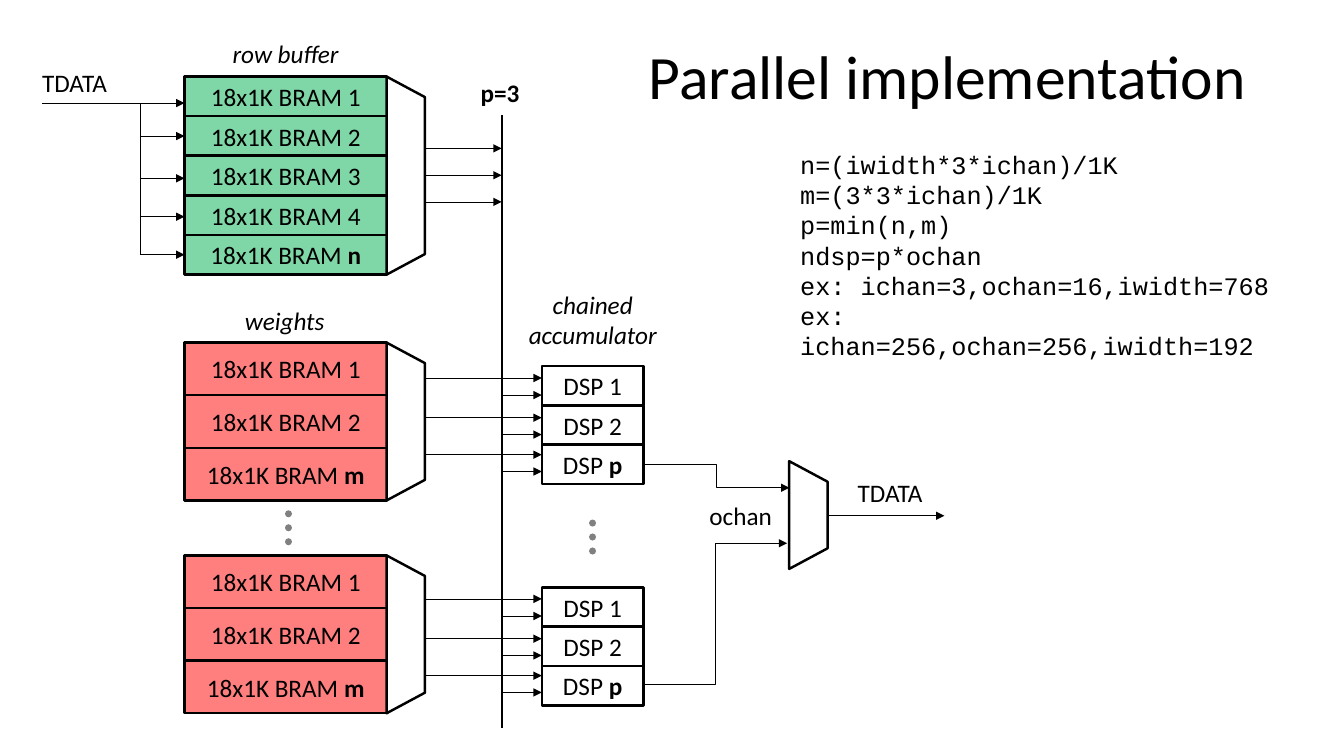
import pptx
import pptx.util
import pptx.dml.color
import pptx.enum.dml
import pptx.enum.shapes
import pptx.enum.text
import pptx.oxml
import pptx.oxml.ns

COLORS = {"ink": "000000", "buffer": "00B050", "weights": "FF0000", "dots": "808080"}
BODY, CODE = "Calibri", "Courier New"

BRAM, DSP = "18x1K BRAM ", "DSP "
BRAM_LEFT, BRAM_WIDTH = 131.8, 144.6
DSP_LEFT, DSP_WIDTH = 387, 72.6
MUX_CENTER, MUX_DEPTH = 289.8, 27.4
MUX_EXIT, BUS = 303.6, 358.3
TRUNK = 100

# name, suffixes, left, top, width, row height, fill, has mux
STACKS = [
    (BRAM, "1234n", BRAM_LEFT, 54.7, BRAM_WIDTH, 28.3, "buffer", True),
    (BRAM, "12m", BRAM_LEFT, 244.7, BRAM_WIDTH, 37.6, "weights", True),
    (BRAM, "12m", BRAM_LEFT, 396.7, BRAM_WIDTH, 37.6, "weights", True),
    (DSP, "12p", DSP_LEFT, 261.4, DSP_WIDTH, 28.1, None, False),
    (DSP, "12p", DSP_LEFT, 419.5, DSP_WIDTH, 28.1, None, False),
]
OUTPUT_MUX = (577.4, 367.9, 77)

BUFFER_TAPS = [97.2, 127.4, 154.8, 181.9]
BUFFER_OUTPUTS = [106, 125.2, 144.2]
WEIGHT_INPUTS = [270, 298.4, 324.8]
BUS_INPUTS = [282.2, 310.4, 336.8]
DSP_GROUP_OFFSETS = [0, 157.8]

LABELS = [
    (["row buffer"], 159.1, 23.8, 91.4, 28.8, {"italic": True}),
    (["weights"], 167.8, 214.6, 72, 28.8, {"italic": True}),
    (["chained", "accumulator"], 370.1, 203, 106.6, 51.1, {"italic": True, "centered": True}),
    (["TDATA"], 23, 44.6, 61.2, 28.8, {}),
    (["TDATA"], 605.5, 337.7, 61.2, 28.8, {}),
    (["p=3"], 336.2, 51.8, 42.5, 28.8, {"bold": True}),
    (["ochan"], 499.7, 353.5, 64.1, 28.8, {"wrap": True}),
    (["n=(iwidth*3*ichan)/1K", "m=(3*3*ichan)/1K", "p=min(n,m)", "ndsp=p*ochan",
      "ex: ichan=3,ochan=16,iwidth=768", "ex: ichan=256,ochan=256,iwidth=192"],
     564.5, 103, 353.5, 159.8, {"font": CODE, "wrap": True}),
    (["Parallel implementation"], 456.5, 29.5, 463, 104.4,
     {"size": 44, "wrap": True, "spacing": 0.9}),
]

Pt = pptx.util.Pt
STRAIGHT = pptx.enum.shapes.MSO_CONNECTOR.STRAIGHT
ELBOW = pptx.enum.shapes.MSO_CONNECTOR.ELBOW
SHAPES = pptx.enum.shapes.MSO_SHAPE
CENTER = pptx.enum.text.PP_ALIGN.CENTER
LEFT = pptx.enum.text.PP_ALIGN.LEFT

presentation = pptx.Presentation()
presentation.slide_width = Pt(960)
presentation.slide_height = Pt(540)
slide = presentation.slides.add_slide(presentation.slide_layouts[6])


def color(name):
    return pptx.dml.color.RGBColor.from_string(COLORS[name])


def append_element(parent, tag, **attributes):
    element = pptx.oxml.parse_xml(f"<a:{tag} {pptx.oxml.ns.nsdecls('a')}/>")
    for name, value in attributes.items():
        element.set(name, value)
    parent.append(element)


def set_font(paragraph, name=BODY, size=18, bold=None, italic=None):
    font = paragraph.font
    font.name, font.size = name, Pt(size)
    font.bold, font.italic = bold, italic
    font.color.rgb = color("ink")


def add_outline(kind, left, top, width, height, fill=None):
    shape = slide.shapes.add_shape(kind, Pt(left), Pt(top), Pt(width), Pt(height))
    shape.shadow.inherit = False
    shape.line.color.rgb = color("ink")
    shape.line.width = Pt(1.75)
    if fill:
        shape.fill.solid()
        shape.fill.fore_color.rgb = color(fill)
        fill_color = shape._element.spPr.find(".//" + pptx.oxml.ns.qn("a:srgbClr"))
        append_element(fill_color, "alpha", val="50000")
    else:
        shape.fill.background()
    return shape


def add_mux(center, middle, length):
    mux = add_outline(SHAPES.TRAPEZOID, center - length / 2, middle - MUX_DEPTH / 2,
                      length, MUX_DEPTH)
    mux.adjustments[0] = 0.536
    mux.rotation = 90


def add_stack(name, suffixes, left, top, width, row_height, fill, has_mux):
    for row, suffix in enumerate(suffixes):
        cell = add_outline(SHAPES.RECTANGLE, left, top + row * row_height,
                           width, row_height, fill)
        frame = cell.text_frame
        frame.word_wrap = False
        frame.vertical_anchor = pptx.enum.text.MSO_ANCHOR.MIDDLE
        paragraph = frame.paragraphs[0]
        paragraph.alignment = CENTER
        set_font(paragraph)
        if suffix.isalpha():
            paragraph.add_run().text = name
            variable = paragraph.add_run()
            variable.text = suffix
            variable.font.bold = True
        else:
            paragraph.add_run().text = name + suffix
    if has_mux:
        length = len(suffixes) * row_height
        add_mux(MUX_CENTER, top + length / 2, length)


def add_line(x1, y1, x2, y2, kind=STRAIGHT, width=0.5, ink="ink", arrow=False, dotted=False):
    connector = slide.shapes.add_connector(kind, Pt(x1), Pt(y1), Pt(x2), Pt(y2))
    connector.line.color.rgb = color(ink)
    connector.line.width = Pt(width)
    properties = connector._element.spPr
    outline = properties.get_or_add_ln()
    if dotted:
        connector.line.dash_style = pptx.enum.dml.MSO_LINE.ROUND_DOT
        outline.set("cap", "rnd")
    if arrow:
        append_element(outline, "tailEnd", type="triangle")
    append_element(properties, "effectLst")


def add_label(lines, left, top, width, height, style):
    box = slide.shapes.add_textbox(Pt(left), Pt(top), Pt(width), Pt(height))
    frame = box.text_frame
    frame.word_wrap = style.get("wrap", False)
    frame.text = "\n".join(lines)
    for paragraph in frame.paragraphs:
        paragraph.alignment = CENTER if style.get("centered") else LEFT
        if "spacing" in style:
            paragraph.line_spacing = style["spacing"]
        set_font(paragraph, style.get("font", BODY), style.get("size", 18),
                 style.get("bold"), style.get("italic"))


for stack in STACKS:
    add_stack(*stack)
add_mux(*OUTPUT_MUX)

add_line(BUS, 519.8, BUS, 82.1, width=1.5)
add_line(30.2, 73.6, BRAM_LEFT, 73.6, arrow=True)
add_line(TRUNK, 73.6, TRUNK, BUFFER_TAPS[-1])
for y in BUFFER_TAPS:
    add_line(TRUNK, y, BRAM_LEFT, y, arrow=True)
for y in BUFFER_OUTPUTS:
    add_line(MUX_EXIT, y, BUS, y, arrow=True)
for offset in DSP_GROUP_OFFSETS:
    for start, inputs in ((MUX_EXIT, WEIGHT_INPUTS), (BUS, BUS_INPUTS)):
        for y in inputs:
            add_line(start, y + offset, DSP_LEFT, y + offset, arrow=True)

add_line(459.5, 331.4, 563.9, 348.4, ELBOW, arrow=True)
add_line(459.5, 488.9, 562.3, 388.1, ELBOW, arrow=True)
add_line(591.1, 368.4, 674.6, 368.4, arrow=True)
for x, y in ((206, 367), (423.4, 373.6)):
    add_line(x, y, x, y + 29.5, width=5, ink="dots", dotted=True)

for label in LABELS:
    add_label(*label)

presentation.save("out.pptx")
